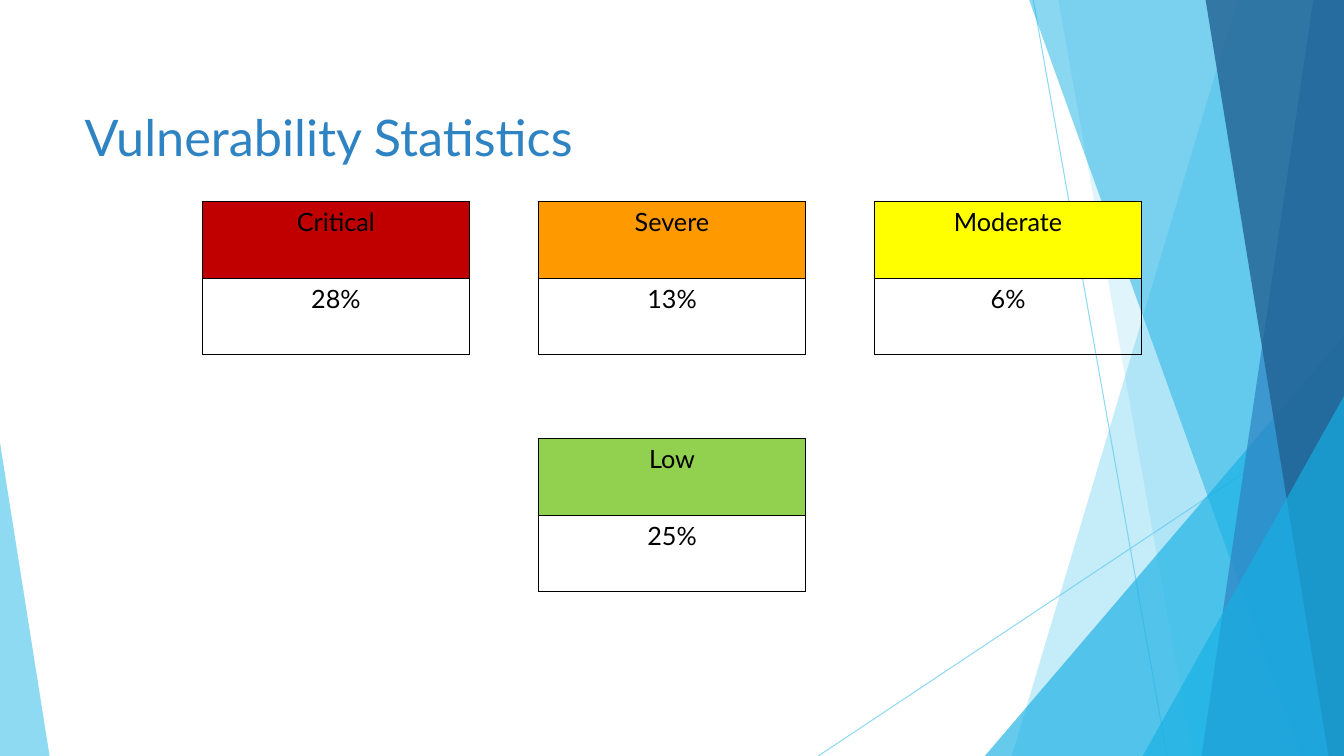
"""Build the vulnerability statistics slide."""
from dataclasses import dataclass

from lxml.etree import SubElement
from pptx import Presentation
from pptx.dml.color import RGBColor
from pptx.enum.shapes import MSO_CONNECTOR, MSO_SHAPE
from pptx.enum.text import MSO_ANCHOR, MSO_AUTO_SIZE, PP_ALIGN
from pptx.oxml import parse_xml
from pptx.oxml.ns import nsdecls, qn
from pptx.util import Cm, Pt

WIDE, HIGH = 33.87, 19.05
TOP = -0.02
SKY, CYAN, BLUE, NAVY = "5FCBEF", "17B0E4", "2E83C3", "226292"


@dataclass
class Ray:
    """A thin line across the backdrop."""
    x1: float
    y1: float
    x2: float
    y2: float


@dataclass
class Blade:
    """A panel with a slanted left edge, reaching the right side."""
    top: float
    low: float
    tint: str
    alpha: int


@dataclass
class Wedge:
    """A right triangle standing on the bottom edge."""
    left: float
    top: float
    width: float
    peak: float
    tint: str
    alpha: int


@dataclass
class Card:
    """A risk level with its share and grid place."""
    name: str
    share: str
    tint: str
    col: int
    row: int


RAYS = [Ray(26.04, 0, 29.41, HIGH), Ray(WIDE, 10.24, 20.62, HIGH)]
PANELS = [
    Blade(31.19, 25.5, SKY, 36),
    Blade(26.67, 30.05, SKY, 20),
    Wedge(24.82, 8.46, 9.05, 1, CYAN, 66),
    Blade(25.93, 32.79, CYAN, 50),
    Blade(33.1, 30.28, BLUE, 70),
    Blade(30.38, 33.48, NAVY, 80),
    Wedge(28.8, 9.98, 5.07, 1, CYAN, 66),
    Wedge(0, 11.15, 1.25, 0, SKY, 70),
]
CARDS = [
    Card("Critical", "28%", "C00000", 0, 0),
    Card("Severe", "13%", "FF9900", 1, 0),
    Card("Moderate", "6%", "FFFF00", 2, 0),
    Card("Low", "25%", "92D050", 1, 1),
]


def paint(fill, tint: str) -> None:
    """Make a fill solid in a hex colour."""
    fill.solid()
    fill.fore_color.rgb = RGBColor.from_string(tint)


def fade(shape, alpha: int) -> None:
    """Set the opacity, in percent, of a shape's colours."""
    for tint in shape.element.iter(qn("a:srgbClr")):
        SubElement(tint, qn("a:alpha")).set("val", str(alpha * 1000))


def write(frame, text: str, *, size: int, tint: str = "000000",
          align=PP_ALIGN.LEFT, space: float = 1.0) -> None:
    """Put one formatted line of text into a frame."""
    para = frame.paragraphs[0]
    para.alignment = align
    para.line_spacing = space
    run = para.add_run()
    run.text = text
    run.font.name = "Lato"
    run.font.size = Pt(size)
    paint(run.font.fill, tint)


def add_ray(shapes, ray: Ray) -> None:
    """Draw a backdrop line."""
    line = shapes.add_connector(MSO_CONNECTOR.STRAIGHT, Cm(ray.x1), Cm(ray.y1),
                                Cm(ray.x2), Cm(ray.y2))
    line.line.width = Pt(0.75)
    paint(line.line.fill, SKY)
    fade(line, 70)
    SubElement(line.element.spPr, qn("a:effectLst"))


def add_panel(shapes, panel: Blade | Wedge) -> None:
    """Draw a translucent blade or wedge."""
    if isinstance(panel, Blade):
        pen = shapes.build_freeform(Cm(panel.top), Cm(TOP))
        pen.add_line_segments([(Cm(WIDE), Cm(TOP)), (Cm(WIDE), Cm(HIGH)),
                               (Cm(panel.low), Cm(HIGH))], close=True)
        shape = pen.convert_to_shape()
    else:
        shape = shapes.add_shape(MSO_SHAPE.ISOSCELES_TRIANGLE, Cm(panel.left),
                                 Cm(panel.top), Cm(panel.width),
                                 Cm(HIGH - panel.top))
        shape.adjustments[0] = panel.peak
    shape.shadow.inherit = False
    shape.line.fill.background()
    paint(shape.fill, panel.tint)
    fade(shape, panel.alpha)


def edge(cell) -> None:
    """Give a cell thin black borders."""
    props = cell._tc.get_or_add_tcPr()
    for side in "LRTB":
        props.append(parse_xml(
            f'<a:ln{side} {nsdecls("a")} w="12700"><a:solidFill>'
            f'<a:srgbClr val="000000"/></a:solidFill></a:ln{side}>'))


def add_card(shapes, card: Card) -> None:
    """Draw a two-row table for one risk level."""
    frame = shapes.add_table(2, 1, Cm(5.1 + 8.47 * card.col),
                             Cm(5.08 + 5.97 * card.row), Cm(6.73), Cm(3.86))
    table = frame.table
    table.first_row = table.horz_banding = False
    for cell, text in zip(table.iter_cells(), (card.name, card.share)):
        edge(cell)
        cell.fill.background()
        write(cell.text_frame, text, size=18, align=PP_ALIGN.CENTER)
    paint(table.cell(0, 0).fill, card.tint)


def main() -> None:
    """Build and save the deck."""
    deck = Presentation()
    deck.slide_width, deck.slide_height = Cm(WIDE), Cm(HIGH)
    slide = deck.slides.add_slide(deck.slide_layouts[5])
    shapes = slide.shapes
    for ray in RAYS:
        add_ray(shapes, ray)
    for panel in PANELS:
        add_panel(shapes, panel)
    title = shapes.title
    title.left, title.top = Cm(1.88), Cm(1.7)
    title.width, title.height = Cm(23.88), Cm(3.66)
    title.text_frame.auto_size = MSO_AUTO_SIZE.NONE
    title.text_frame.vertical_anchor = MSO_ANCHOR.MIDDLE
    write(title.text_frame, "Vulnerability Statistics", size=36, tint=BLUE,
          space=0.9)
    for card in CARDS:
        add_card(shapes, card)
    deck.save("out.pptx")


if __name__ == "__main__":
    main()
